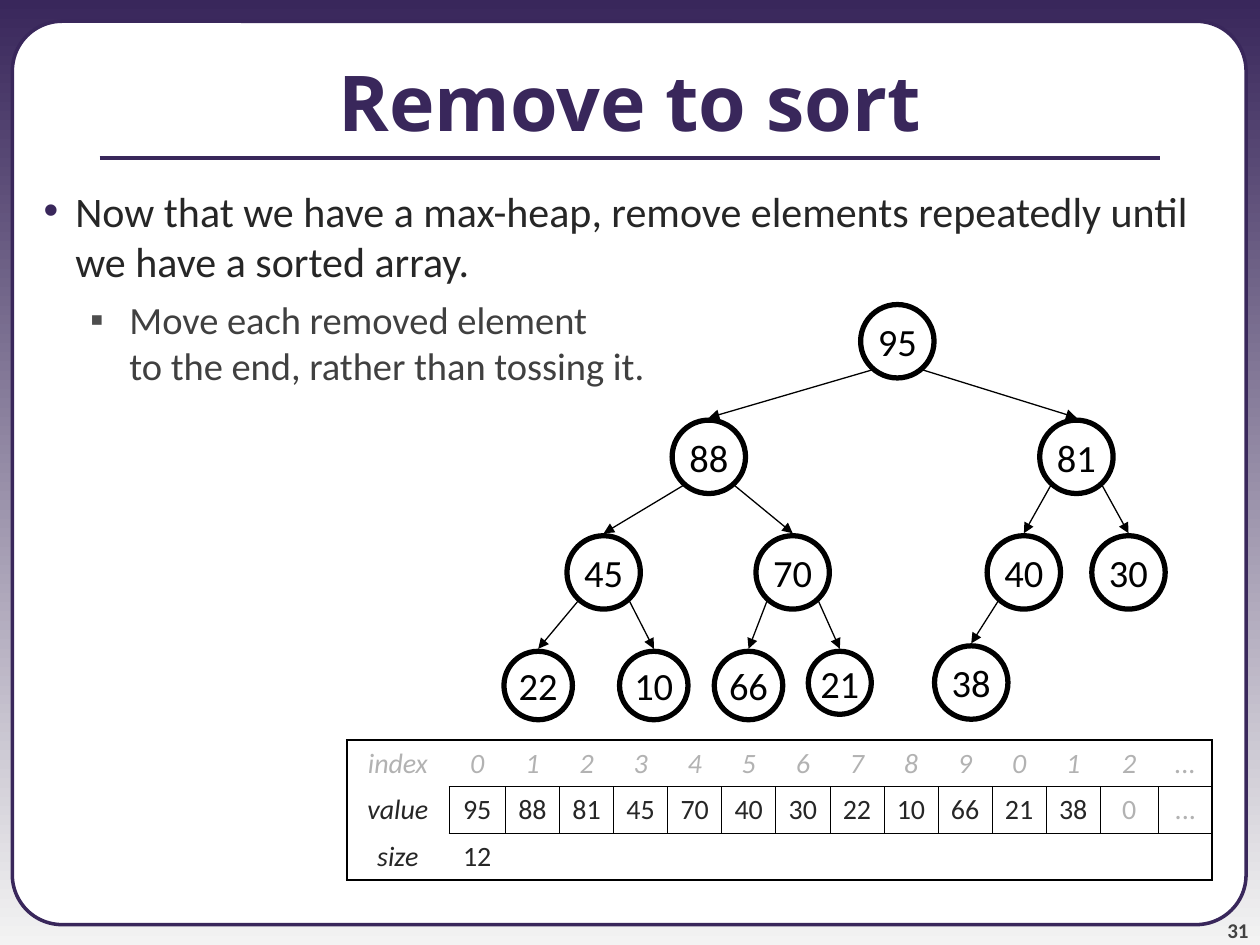
"""Build the heap sort slide: a max-heap drawn as a tree and as an array."""
import pptx
import pptx.dml.color
import pptx.enum.shapes
import pptx.enum.text
import pptx.oxml
import pptx.oxml.ns
import pptx.util

Cm, Pt = pptx.util.Cm, pptx.util.Pt
ALIGN = pptx.enum.text.PP_ALIGN
ANCHOR = pptx.enum.text.MSO_ANCHOR
SHAPE = pptx.enum.shapes.MSO_SHAPE
NS = pptx.oxml.ns.nsdecls("a")

THEME = {
    "purple": "39275B", "mist": "F3F3F3", "white": "FFFFFF", "black": "000000",
    "body": "262626", "detail": "404040", "marker": "4D4D4D",
    "number": "424242", "faded": "B2B2B2",
    "heading_font": "Open Sans", "text_font": "Calibri",
    "title_size": 44, "body_size": 24, "detail_size": 22,
    "node_size": 22, "cell_size": 16, "number_size": 12,
    "outer": 1.08, "inner": 0.45, "ring": 3, "edge": 0.75,
}

TITLE = "Remove to sort"
PAGE = "31"
BULLETS = [
    {"lines": ["Now that we have a max-heap, remove elements repeatedly until we have a sorted array."],
     "marker": "•", "marker_color": "purple", "color": "body", "size": "body_size",
     "left": 1.27, "hang": 0.64, "before": 0},
    {"lines": ["Move each removed element", "to the end, rather than tossing it."],
     "marker": "▪", "marker_color": "marker", "color": "detail", "size": "detail_size",
     "left": 2.36, "hang": 0.79, "before": 5.5},
]

HEAP = [95, 88, 81, 45, 70, 40, 30, 22, 10, 66, 21, 38]
CENTERS = [18.09, 14.29, 21.7, 12.17, 15.98, 20.64, 22.75, 10.85, 13.18, 15.09, 16.93, 19.58]
LEVEL_TOP, LEVEL_STEP = 6.14, 2.33
DIAMETER = 1.48
SMALLER = {22: 1.38, 10: 1.38, 66: 1.38, 21: 1.27}
RAISED = {38: 0.11}
EDGE_DX, EDGE_DY, EDGE_GAP = 0.52, 1.32, 0.05

ARRAY = [
    ["index"] + [str(i % 10) for i in range(len(HEAP) + 1)] + ["..."],
    ["value"] + [str(value) for value in HEAP] + ["0", "..."],
    ["size", str(len(HEAP))],
]
COLUMNS = [2.06, 1.14] + [1.09] * 11 + [1.17, 1.09]
ROW_HEIGHT = 0.94
SIDES = {"L": (0, -1), "R": (0, 1), "T": (-1, 0), "B": (1, 0)}


def rgb(name):
    return pptx.dml.color.RGBColor.from_string(THEME[name])


def add_run(paragraph, text, size, color, font="text_font", bold=False, italic=False):
    run = paragraph.add_run()
    run.text = text
    run.font.name = THEME[font]
    run.font.size = Pt(THEME[size])
    run.font.color.rgb = rgb(color)
    run.font.bold, run.font.italic = bold, italic


def add_outline(slide, kind, box, color, width):
    outline = slide.shapes.add_shape(kind, *map(Cm, box))
    outline.shadow.inherit = False
    outline.line.color.rgb = rgb(color)
    outline.line.width = Pt(width)
    return outline


def add_line(slide, start, end, color, width, arrow=False):
    line = slide.shapes.add_connector(
        pptx.enum.shapes.MSO_CONNECTOR.STRAIGHT, *map(Cm, start + end))
    line.line.color.rgb = rgb(color)
    line.line.width = Pt(width)
    if arrow:
        line.line._get_or_add_ln().append(
            pptx.oxml.parse_xml(f'<a:tailEnd {NS} type="triangle"/>'))
    line._element.spPr.append(pptx.oxml.parse_xml(f"<a:effectLst {NS}/>"))


def add_frame(slide):
    backdrop = slide.background.fill
    backdrop.gradient()
    backdrop.gradient_angle = 270
    for stop, color, position in zip(backdrop.gradient_stops, ("purple", "mist"), (0, 1)):
        stop.color.rgb = rgb(color)
        stop.position = position
    card = add_outline(slide, SHAPE.ROUNDED_RECTANGLE, (0.25, 0.43, 24.87, 18.21), "purple", 2)
    card.adjustments[0] = 0.055
    card.fill.solid()
    card.fill.fore_color.rgb = rgb("white")
    page = slide.shapes.add_textbox(Cm(23.06), Cm(17.98), Cm(2.11), Cm(1.02)).text_frame
    page.margin_left = page.margin_right = page.margin_top = page.margin_bottom = 0
    page.word_wrap = True
    page.vertical_anchor = ANCHOR.BOTTOM
    page.paragraphs[0].alignment = ALIGN.RIGHT
    add_run(page.paragraphs[0], PAGE, "number_size", "number", bold=True)
    add_line(slide, (2.01, 3.18), (23.39, 3.18), "purple", 2.25)


def add_title(slide):
    title = slide.shapes.title
    title.left, title.top, title.width, title.height = map(Cm, (0, 0.43, 25.4, 3.18))
    title.text_frame.vertical_anchor = ANCHOR.MIDDLE
    heading = title.text_frame.paragraphs[0]
    heading.alignment = ALIGN.CENTER
    add_run(heading, TITLE, "title_size", "purple", "heading_font", bold=True)
    title._element.getparent().append(title._element)


def add_bullets(slide):
    body = slide.shapes.add_textbox(Cm(0), Cm(3.61), Cm(25.4), Cm(15.44)).text_frame
    body.word_wrap = True
    for level, bullet in enumerate(BULLETS):
        paragraph = body.add_paragraph() if level else body.paragraphs[0]
        paragraph.level = level
        properties = paragraph._p.get_or_add_pPr()
        properties.set("marL", str(Cm(bullet["left"])))
        properties.set("indent", str(-Cm(bullet["hang"])))
        for xml in (f'<a:buClr {NS}><a:srgbClr val="{THEME[bullet["marker_color"]]}"/></a:buClr>',
                    f'<a:buFont {NS} typeface="Arial"/>',
                    f'<a:buChar {NS} char="{bullet["marker"]}"/>'):
            properties.append(pptx.oxml.parse_xml(xml))
        paragraph.space_before = Pt(bullet["before"])
        for number, text in enumerate(bullet["lines"]):
            if number:
                paragraph.add_line_break()
            add_run(paragraph, text, bullet["size"], bullet["color"])


def add_tree(slide):
    tops = []
    for i, (value, center) in enumerate(zip(HEAP, CENTERS)):
        level = (i + 1).bit_length() - 1
        top = LEVEL_TOP + level * LEVEL_STEP - RAISED.get(value, 0)
        tops.append(top)
        diameter = SMALLER.get(value, DIAMETER)
        node = add_outline(slide, SHAPE.OVAL, (center - diameter / 2, top, diameter, diameter),
                           "black", THEME["ring"])
        node.fill.background()
        node.text_frame.word_wrap = False
        node.text_frame.vertical_anchor = ANCHOR.MIDDLE
        label = node.text_frame.paragraphs[0]
        label.alignment = ALIGN.CENTER
        add_run(label, str(value), "node_size", "black")
        if i:
            parent = (i - 1) // 2
            side = EDGE_DX if i % 2 == 0 else -EDGE_DX
            add_line(slide, (CENTERS[parent] + side, tops[parent] + EDGE_DY),
                     (center, top - EDGE_GAP), "black", THEME["edge"], arrow=True)


def is_boxed(row, column):
    return row == 1 and column >= 1


def add_borders(cell, row, column):
    for side, (down, across) in SIDES.items():
        beside = row + down, column + across
        if beside[0] not in range(len(ARRAY)) or beside[1] not in range(len(COLUMNS)):
            width = THEME["outer"]
        elif is_boxed(row, column) or is_boxed(*beside):
            width = THEME["inner"]
        else:
            continue
        cell._tc.get_or_add_tcPr().append(pptx.oxml.parse_xml(
            f'<a:ln{side} {NS} w="{Pt(width)}"><a:solidFill>'
            f'<a:srgbClr val="{THEME["black"]}"/></a:solidFill></a:ln{side}>'))


def add_array(slide):
    table = slide.shapes.add_table(
        len(ARRAY), len(COLUMNS), Cm(6.99), Cm(14.92),
        Cm(sum(COLUMNS)), Cm(ROW_HEIGHT * len(ARRAY))).table
    table.first_row = table.horz_banding = False
    style = table._tbl.tblPr.find(pptx.oxml.ns.qn("a:tableStyleId"))
    style.text = "{2D5ABB26-0587-4C30-8999-92F81FD0307C}"
    for column, width in enumerate(COLUMNS):
        table.columns[column].width = Cm(width)
    for row, texts in enumerate(ARRAY):
        table.rows[row].height = Cm(ROW_HEIGHT)
        for column in range(len(COLUMNS)):
            cell = table.cell(row, column)
            add_borders(cell, row, column)
            cell.fill.background()
            cell.margin_left = cell.margin_right = cell.margin_top = cell.margin_bottom = 0
            cell.vertical_anchor = ANCHOR.MIDDLE
            if column < len(texts):
                faded = row == 0 or column > len(HEAP)
                entry = cell.text_frame.paragraphs[0]
                entry.alignment = ALIGN.CENTER
                add_run(entry, texts[column], "cell_size", "faded" if faded else "body",
                        italic=row == 0 or column == 0)


def main():
    deck = pptx.Presentation()
    deck.slide_width, deck.slide_height = Cm(25.4), Cm(19.05)
    slide = deck.slides.add_slide(deck.slide_layouts[5])
    for add_part in (add_frame, add_title, add_bullets, add_tree, add_array):
        add_part(slide)
    deck.save("out.pptx")


if __name__ == "__main__":
    main()
